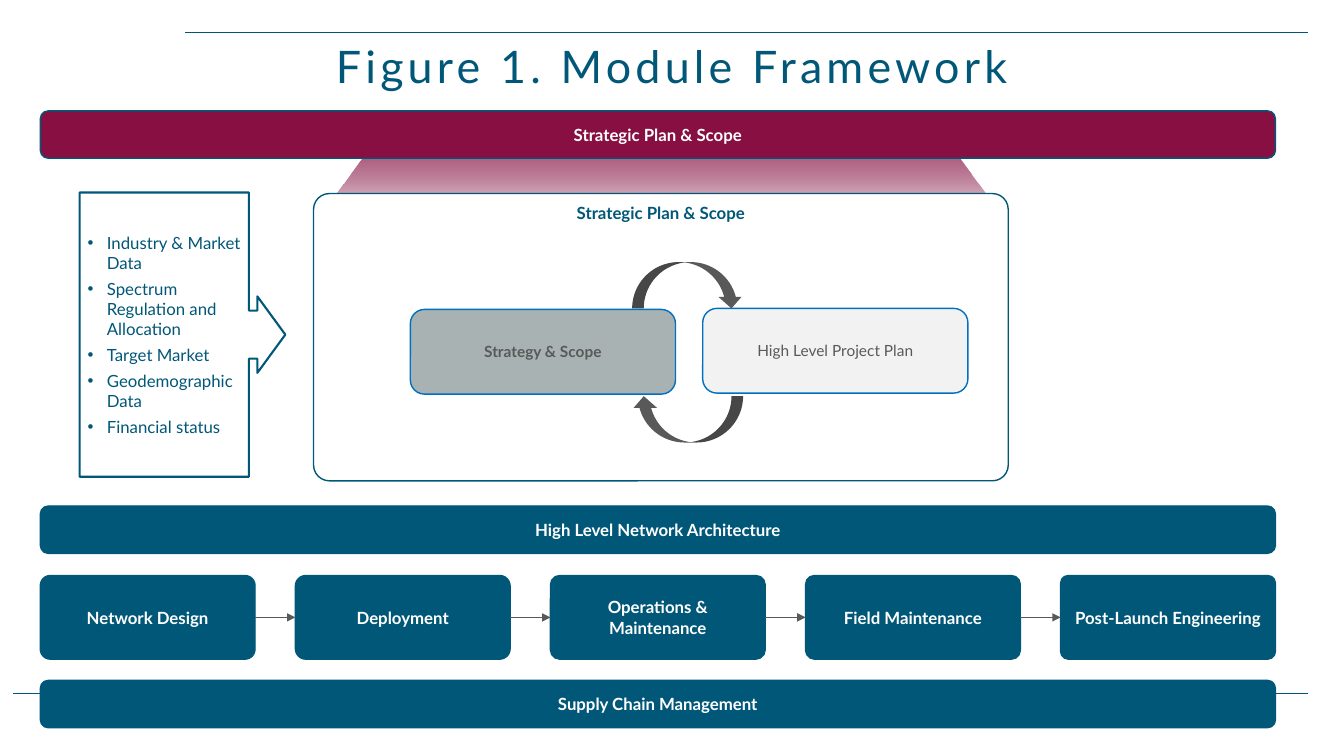
from dataclasses import dataclass

from lxml.etree import SubElement
from pptx import Presentation
from pptx.dml.color import RGBColor
from pptx.enum.shapes import MSO_CONNECTOR, MSO_SHAPE
from pptx.enum.text import MSO_ANCHOR, MSO_AUTO_SIZE, PP_ALIGN
from pptx.oxml.ns import qn
from pptx.util import Inches, Pt


@dataclass(frozen=True)
class Theme:
    font: str = "Lato"
    teal: str = "005778"
    wine: str = "870F42"
    blue: str = "0070C0"
    gray: str = "595959"
    steel: str = "A8B2B2"
    pale: str = "F2F2F2"
    white: str = "FFFFFF"
    head: int = 32
    body: int = 12
    small: int = 11


class Board:
    def __init__(self, slide, theme):
        self.slide = slide
        self.theme = theme

    def add_text(self, para, text, color, size, bold=False):
        run = para.add_run()
        run.text = text
        font = run.font
        font.name = self.theme.font
        font.size = Pt(size)
        font.bold = bold
        font.color.rgb = RGBColor.from_string(color)
        return run

    def title(self, text, box):
        shape = self.slide.shapes.title
        shape.left, shape.top, shape.width, shape.height = map(Inches, box)
        frame = shape.text_frame
        frame.auto_size = MSO_AUTO_SIZE.NONE
        frame.vertical_anchor = MSO_ANCHOR.BOTTOM
        para = frame.paragraphs[0]
        para.alignment = PP_ALIGN.CENTER
        para.line_spacing = 0.8
        run = self.add_text(para, text, self.theme.teal, self.theme.head)
        run._r.get_or_add_rPr().set("spc", "300")

    def shape(self, kind, box, fill=None, line=None, width=1, adj=()):
        shape = self.slide.shapes.add_shape(kind, *map(Inches, box))
        shape.shadow.inherit = False
        for i, value in enumerate(adj):
            shape.adjustments[i] = value
        if fill:
            shape.fill.solid()
            shape.fill.fore_color.rgb = RGBColor.from_string(fill)
        else:
            shape.fill.background()
        if line:
            shape.line.color.rgb = RGBColor.from_string(line)
            shape.line.width = Pt(width)
        else:
            shape.line.fill.background()
        return shape

    def card(self, text, box, fill, line, color, size=None, bold=True,
             adj=(), anchor=MSO_ANCHOR.MIDDLE):
        shape = self.shape(MSO_SHAPE.ROUNDED_RECTANGLE, box, fill, line, adj=adj)
        frame = shape.text_frame
        frame.word_wrap = True
        frame.vertical_anchor = anchor
        para = frame.paragraphs[0]
        para.alignment = PP_ALIGN.CENTER
        self.add_text(para, text, color, size or self.theme.body, bold)
        return shape

    def fade(self, box, adj):
        shape = self.shape(MSO_SHAPE.TRAPEZOID, box, adj=adj)
        shape.fill.gradient()
        shape.fill.gradient_angle = 270
        stops = shape.fill.gradient_stops
        for stop, color in zip(stops, (self.theme.wine, self.theme.pale)):
            stop.color.rgb = RGBColor.from_string(color)
        tint = shape._element.spPr.find(".//" + qn("a:srgbClr"))
        SubElement(tint, qn("a:alpha")).set("val", "71000")

    def bullets(self, items, box, adj):
        shape = self.shape(MSO_SHAPE.RIGHT_ARROW_CALLOUT, box,
                           line=self.theme.teal, width=1.5, adj=adj)
        frame = shape.text_frame
        frame.word_wrap = True
        frame.vertical_anchor = MSO_ANCHOR.MIDDLE
        frame.margin_left = frame.margin_right = Inches(0.08)
        for i, item in enumerate(items):
            para = frame.add_paragraph() if i else frame.paragraphs[0]
            para.alignment = PP_ALIGN.LEFT
            para.space_before = Pt(4)
            props = para._p.get_or_add_pPr()
            props.set("marL", str(Inches(0.19)))
            props.set("indent", str(-Inches(0.19)))
            SubElement(props, qn("a:buFont")).set("typeface", "Arial")
            SubElement(props, qn("a:buChar")).set("char", "•")
            self.add_text(para, item, self.theme.teal, self.theme.body)

    def line(self, start, end, color, width):
        link = self.slide.shapes.add_connector(
            MSO_CONNECTOR.STRAIGHT, *map(Inches, start + end))
        link.line.color.rgb = RGBColor.from_string(color)
        link.line.width = Pt(width)
        SubElement(link._element.spPr, qn("a:effectLst"))
        return link

    def arrow(self, left, right):
        link = self.line((0, 0), (1, 0), self.theme.gray, 0.5)
        link.begin_connect(left, 3)
        link.end_connect(right, 1)
        edge = link._element.spPr.find(qn("a:ln"))
        SubElement(edge, qn("a:tailEnd")).set("type", "triangle")


def main():
    deck = Presentation()
    deck.slide_width, deck.slide_height = Inches(13.33), Inches(7.5)
    look = Theme()
    board = Board(deck.slides.add_slide(deck.slide_layouts[5]), look)

    # Frame lines and title
    for left, top in ((1.84, 0.32), (0.13, 6.88)):
        board.line((left, top), (12.97, top), look.teal, 1)
    board.title("Figure 1. Module Framework", (0, 0.36, 13.33, 0.6))

    # Full-width bars over the fading beam
    board.fade((3.11, 1.48, 6.89, 0.75), (0.735,))
    bars = (
        ("Strategic Plan & Scope", 1.1, look.wine),
        ("High Level Network Architecture", 5.02, look.teal),
        ("Supply Chain Management", 6.75, look.teal),
    )
    for text, top, fill in bars:
        board.card(text, (0.4, top, 12.25, 0.47), fill, look.teal, look.white)

    # Central panel with its two cards
    board.card("Strategic Plan & Scope", (3.11, 1.92, 6.89, 2.85), look.white,
               look.teal, look.teal, adj=(0.055,), anchor=MSO_ANCHOR.TOP)
    board.card("High Level Project Plan", (6.97, 3.06, 2.63, 0.84), look.pale,
               look.blue, look.gray, look.small, bold=False)
    board.card("Strategy & Scope", (4.07, 3.07, 2.63, 0.84), look.steel,
               look.blue, look.gray, look.small)

    # Cycle arrows
    for top, turn in ((2.6, 0), (3.93, 180)):
        curve = board.shape(MSO_SHAPE.CURVED_DOWN_ARROW, (6.27, top, 1.1, 0.46), look.gray)
        curve.rotation = turn

    # Inputs
    inputs = ("Industry & Market Data", "Spectrum Regulation and Allocation",
              "Target Market", "Geodemographic Data", "Financial status")
    board.bullets(inputs, (0.79, 1.91, 2.04, 2.82), (0.234, 0.186, 0.136, 0.823))

    # Process row
    steps = (("Network Design", 0.12), ("Deployment", 0.125),
             ("Operations & Maintenance", 0.111), ("Field Maintenance", 0.106),
             ("Post-Launch Engineering", 0.091))
    cards = [
        board.card(text, (0.4 + 2.53 * i, 5.71, 2.13, 0.83), look.teal,
                   look.teal, look.white, adj=(curve,))
        for i, (text, curve) in enumerate(steps)
    ]
    for left, right in zip(cards, cards[1:]):
        board.arrow(left, right)

    deck.save("out.pptx")


if __name__ == "__main__":
    main()
